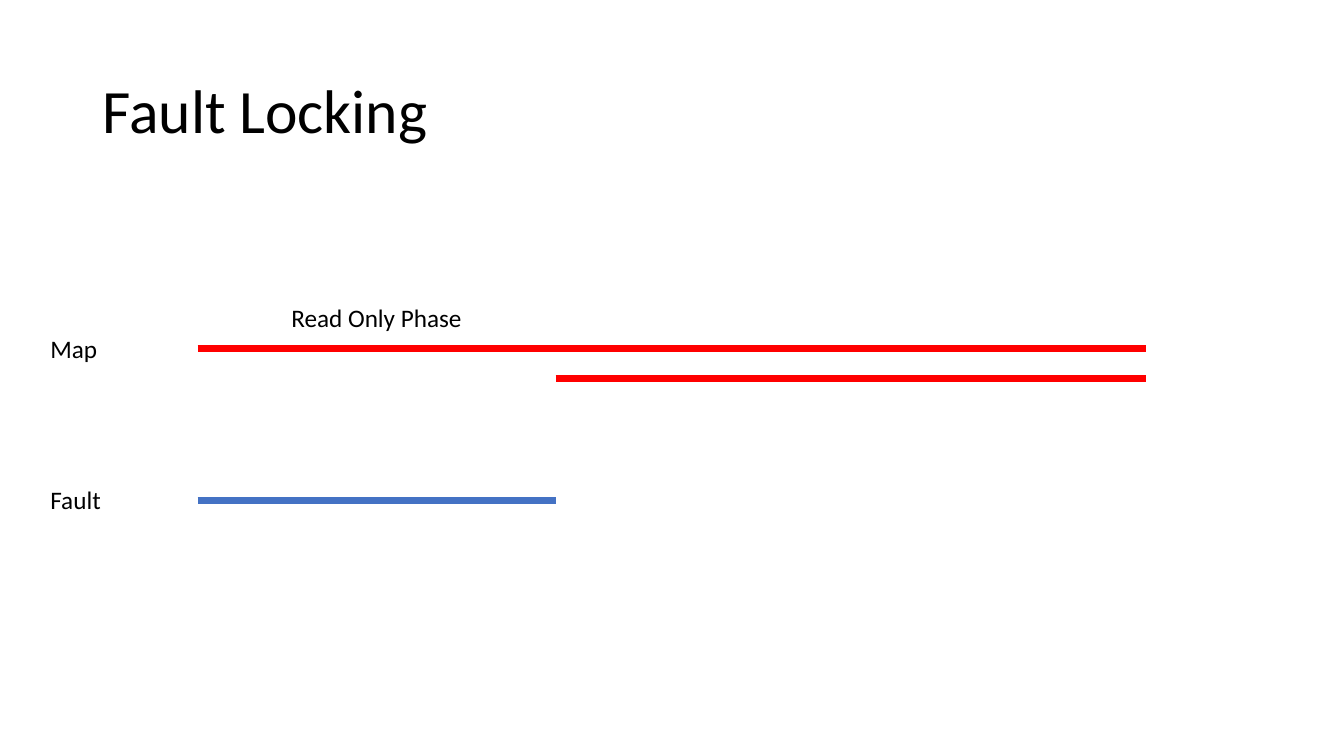
from pptx import Presentation
from pptx.dml.color import RGBColor
from pptx.enum.shapes import MSO_CONNECTOR as Connector
from pptx.enum.text import MSO_ANCHOR as Anchor, PP_ALIGN as Align
from pptx.util import Cm, Pt
from lxml import etree

BLACK = RGBColor(0x00, 0x00, 0x00)
RED = RGBColor(0xFF, 0x00, 0x00)
BLUE = RGBColor(0x44, 0x72, 0xC4)
DRAWING = "http://schemas.openxmlformats.org/drawingml/2006/main"

TITLE_FONT = {"name": "Calibri", "size": Pt(44), "bold": False}
LABEL_FONT = {"name": "Calibri", "size": Pt(18)}
LABEL_HEIGHT = 1.02


def write(frame, text, font, align):
    """Put one formatted line of text into a text frame."""
    frame.word_wrap = True
    para = frame.paragraphs[0]
    para.alignment = align
    span = para.add_run()
    span.text = text
    for key, value in font.items():
        setattr(span.font, key, value)
    span.font.color.rgb = BLACK
    return para


def add_label(page, text, left, top, width, align=Align.LEFT):
    box = page.shapes.add_textbox(Cm(left), Cm(top), Cm(width), Cm(LABEL_HEIGHT))
    write(box.text_frame, text, LABEL_FONT, align)


def add_bar(page, start, end, height, color):
    """Draw a thick horizontal line without a shadow."""
    bar = page.shapes.add_connector(
        Connector.STRAIGHT, Cm(start), Cm(height), Cm(end), Cm(height))
    bar.line.color.rgb = color
    bar.line.width = Pt(5)
    etree.SubElement(bar._element.spPr, f"{{{DRAWING}}}effectLst")


def add_title(page, left, top, width, height):
    title = page.shapes.title
    place = {"left": left, "top": top, "width": width, "height": height}
    for key, value in place.items():
        setattr(title, key, Cm(value))
    title.text_frame.vertical_anchor = Anchor.MIDDLE
    para = write(title.text_frame, "Fault Locking", TITLE_FONT, Align.LEFT)
    para.line_spacing = 0.9


def add_timeline(page, left, top, width):
    """Show when the map and fault locks are held, inside the given box."""
    label_width = 3.96
    start, end = left + label_width, left + width
    split = start + 9.02
    map_row, fault_row = top + 1.3, top + 5.11

    # Row names, centred on their bars
    for name, row in (("Map", map_row), ("Fault", fault_row)):
        add_label(page, name, left, row - LABEL_HEIGHT / 2, label_width)

    # Lock bars
    bars = (
        (start, end, map_row, RED),
        (split, end, map_row + 0.74, RED),
        (start, split, fault_row, BLUE),
    )
    for bar in bars:
        add_bar(page, *bar)

    # Phase name over the first part of the map bar
    add_label(page, "Read Only Phase", start, top, split - start, Align.CENTER)


def main():
    deck = Presentation()
    deck.slide_width, deck.slide_height = Cm(33.87), Cm(19.05)
    page = deck.slides.add_slide(deck.slide_layouts[5])
    add_title(page, 2.33, 1.02, 29.21, 3.68)
    add_timeline(page, 1.02, 7.49, 27.86)
    deck.save("out.pptx")


if __name__ == "__main__":
    main()
